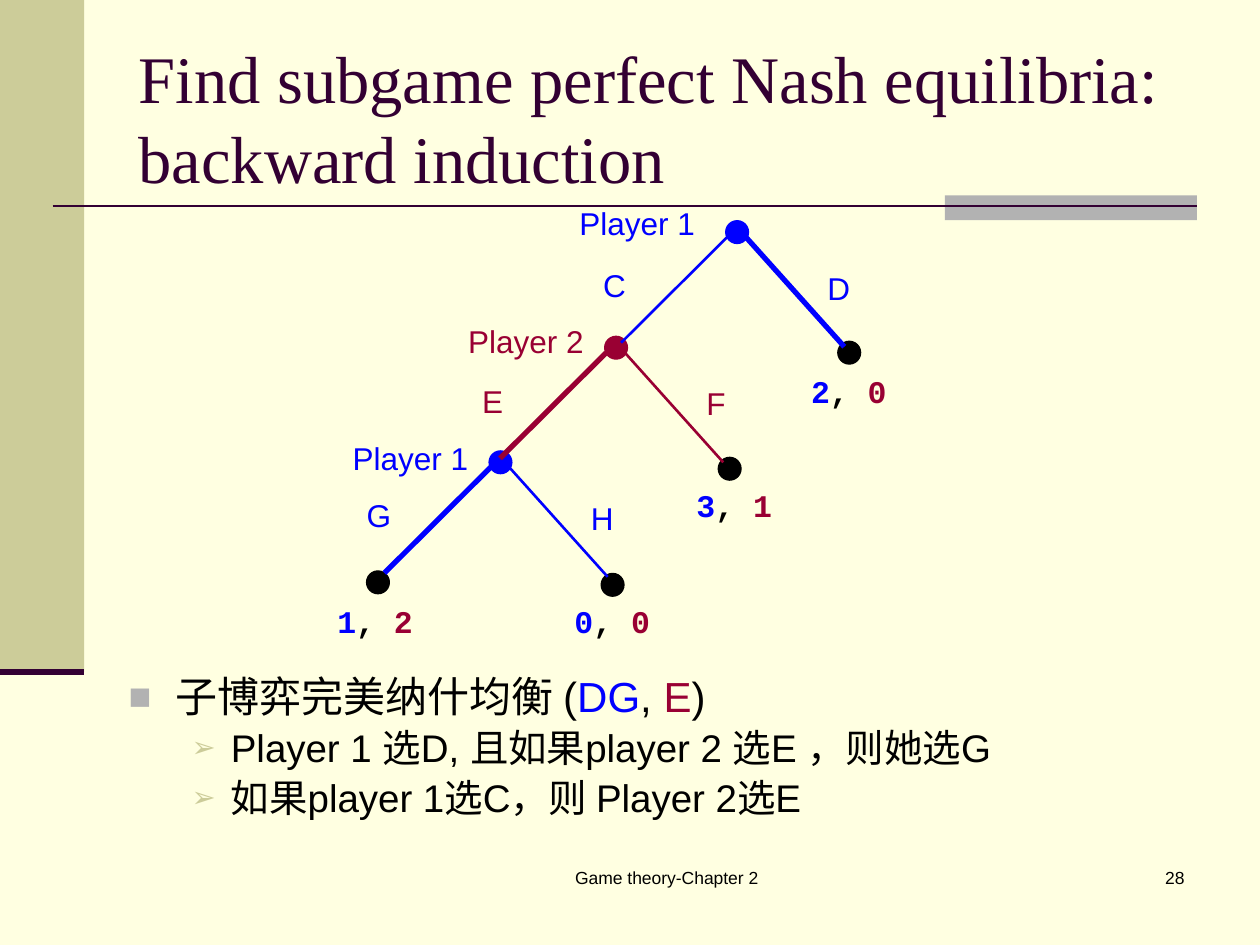
from lxml import etree
from pptx import Presentation
from pptx.dml.color import RGBColor
from pptx.enum.shapes import MSO_CONNECTOR, MSO_SHAPE
from pptx.enum.text import MSO_ANCHOR, MSO_AUTO_SIZE, PP_ALIGN
from pptx.oxml.ns import qn
from pptx.util import Cm, Pt

RECTANGLE, OVAL = MSO_SHAPE.RECTANGLE, MSO_SHAPE.OVAL
STRAIGHT = MSO_CONNECTOR.STRAIGHT
LEFT, CENTER, RIGHT = PP_ALIGN.LEFT, PP_ALIGN.CENTER, PP_ALIGN.RIGHT
MIDDLE, TOP = MSO_ANCHOR.MIDDLE, MSO_ANCHOR.TOP
NO_AUTOFIT = MSO_AUTO_SIZE.NONE

COLORS = {
    "background": "FFFFE1",
    "sand": "CCCC99",
    "gray": "B2B2B2",
    "plum": "330033",
    "black": "000000",
    "blue": "0000FF",
    "red": "990033",
}

presentation = Presentation()
presentation.slide_width = Cm(25.4)
presentation.slide_height = Cm(19.05)
slide = presentation.slides.add_slide(presentation.slide_layouts[1])
slide.background.fill.solid()
slide.background.fill.fore_color.rgb = RGBColor.from_string(COLORS["background"])


def add_runs(paragraph, runs, size, font="Arial", bold=False):
    for text, color in runs:
        run = paragraph.add_run()
        run.text = text
        run.font.name = font
        run.font.size = Pt(size)
        run.font.bold = bold
        run.font.color.rgb = RGBColor.from_string(COLORS[color])


def add_line(start, end, color, width):
    line = slide.shapes.add_connector(STRAIGHT, *(Cm(value) for value in (*start, *end)))
    line.line.color.rgb = RGBColor.from_string(COLORS[color])
    line.line.width = Pt(width)
    etree.SubElement(line._element.spPr, qn("a:effectLst"))


shapes_to_fill = [
    (RECTANGLE, 0, 0, 1.7, 13.55, "sand"),
    (RECTANGLE, 19.05, 3.94, 5.08, 0.5, "gray"),
]
labels = [
    (9.31, 17.36, 8.26, 1.27, CENTER, [("Game theory-Chapter 2", "black")], 10, "Arial", False),
    (18.84, 17.36, 5.29, 1.27, RIGHT, [("28", "black")], 10, "Arial", False),
]
lines = [
    ((1.06, 4.15), (24.13, 4.15), "plum", 1.5),
    ((0, 13.55), (1.7, 13.55), "plum", 3.5),
]

NODE_SIZE = 0.46
LABEL_HEIGHT = 1.02
CHOSEN, OTHER = 3, 1.5
decisions = [
    (12.19, 6.78, -3, -0.41, "Player 2", "red", ("E", CHOSEN), ("F", OTHER)),
    (9.86, 9.09, -3, -0.36, "Player 1", "blue", ("G", CHOSEN), ("H", OTHER)),
    (14.63, 4.45, -3.2, -0.46, "Player 1", "blue", ("C", OTHER), ("D", CHOSEN)),
]
for x, y, shift_x, shift_y, player, color, left_move, right_move in decisions:
    shapes_to_fill.append((OVAL, x, y, NODE_SIZE, NODE_SIZE, color))
    lines.append(((x + 0.03, y + 0.33), (x - 2.11, y + 2.46), color, left_move[1]))
    lines.append(((x + 0.38, y + 0.3), (x + 2.39, y + 2.54), color, right_move[1]))
    for label_x, label_y, width, text in [
        (x + shift_x, y + shift_y, 3, player),
        (x - 2.72, y + 0.79, 1.19, left_move[0]),
        (x + 1.8, y + 0.84, 1.04, right_move[0]),
    ]:
        labels.append((label_x, label_y, width, LABEL_HEIGHT, LEFT,
                       [(text, color)], 18, "Arial", False))

outcomes = [
    (14.48, 9.22, 13.79, 9.68, "3", "1"),
    (7.39, 11.51, 6.55, 12.01, "1", "2"),
    (12.12, 11.56, 11.33, 12.01, "0", "0"),
    (16.89, 6.88, 16.1, 7.37, "2", "0"),
]
for x, y, payoff_x, payoff_y, first, second in outcomes:
    shapes_to_fill.append((OVAL, x, y, NODE_SIZE, NODE_SIZE, "black"))
    payoff = [(first, "blue"), (", ", "black"), (second, "red")]
    labels.append((payoff_x, payoff_y, 2.13, LABEL_HEIGHT, LEFT,
                   payoff, 18, "Courier New", True))

for kind, x, y, width, height, color in shapes_to_fill:
    shape = slide.shapes.add_shape(kind, Cm(x), Cm(y), Cm(width), Cm(height))
    shape.shadow.inherit = False
    shape.fill.solid()
    shape.fill.fore_color.rgb = RGBColor.from_string(COLORS[color])
    if kind == OVAL:
        shape.line.color.rgb = RGBColor.from_string(COLORS[color])
        shape.line.width = Pt(0.75)
    else:
        shape.line.fill.background()

for start, end, color, width in lines:
    add_line(start, end, color, width)

for x, y, width, height, alignment, runs, size, font, bold in labels:
    box = slide.shapes.add_textbox(Cm(x), Cm(y), Cm(width), Cm(height))
    box.text_frame.word_wrap = True
    paragraph = box.text_frame.paragraphs[0]
    paragraph.alignment = alignment
    add_runs(paragraph, runs, size, font, bold)

title = slide.shapes.title
body = slide.placeholders[1]
for placeholder, x, y, width, height, anchor in [
    (title, 2.54, 0.76, 21.59, 3.18, MIDDLE),
    (body, 2.34, 13.51, 21.59, 3.3, TOP),
]:
    placeholder.left, placeholder.top = Cm(x), Cm(y)
    placeholder.width, placeholder.height = Cm(width), Cm(height)
    placeholder.text_frame.auto_size = NO_AUTOFIT
    placeholder.text_frame.vertical_anchor = anchor

title_paragraph = title.text_frame.paragraphs[0]
title_paragraph.alignment = LEFT
title_runs = [("Find subgame perfect Nash equilibria: backward induction", "plum")]
add_runs(title_paragraph, title_runs, 38, "Times New Roman")

LEVELS = [
    {"margin": 0.95, "hanging": 0.95, "bullet": "■", "color": "gray", "scale": 90, "size": 24, "before": 0},
    {"margin": 2.06, "hanging": 0.79, "bullet": "➢", "color": "sand", "scale": 75, "size": 22, "before": 4.4},
]
conclusions = [
    (0, [("子博弈完美纳什均衡 (", "black"), ("DG", "blue"), (", ", "black"),
         ("E", "red"), (")", "black")]),
    (1, [("Player 1 选D, 且如果player 2 选E ，则她选G", "black")]),
    (1, [("如果player 1选C，则 Player 2选E", "black")]),
]
for index, (level, runs) in enumerate(conclusions):
    style = LEVELS[level]
    frame = body.text_frame
    paragraph = frame.add_paragraph() if index else frame.paragraphs[0]
    paragraph.level = level
    paragraph.line_spacing = 0.9
    paragraph.space_before = Pt(style["before"])
    properties = paragraph._p.get_or_add_pPr()
    properties.set("marL", str(Cm(style["margin"])))
    properties.set("indent", str(-Cm(style["hanging"])))
    bullet_color = etree.SubElement(properties, qn("a:buClr"))
    etree.SubElement(bullet_color, qn("a:srgbClr"), val=COLORS[style["color"]])
    etree.SubElement(properties, qn("a:buSzPct"), val=str(style["scale"] * 1000))
    etree.SubElement(properties, qn("a:buChar"), char=style["bullet"])
    add_runs(paragraph, runs, style["size"])

presentation.save("out.pptx")
